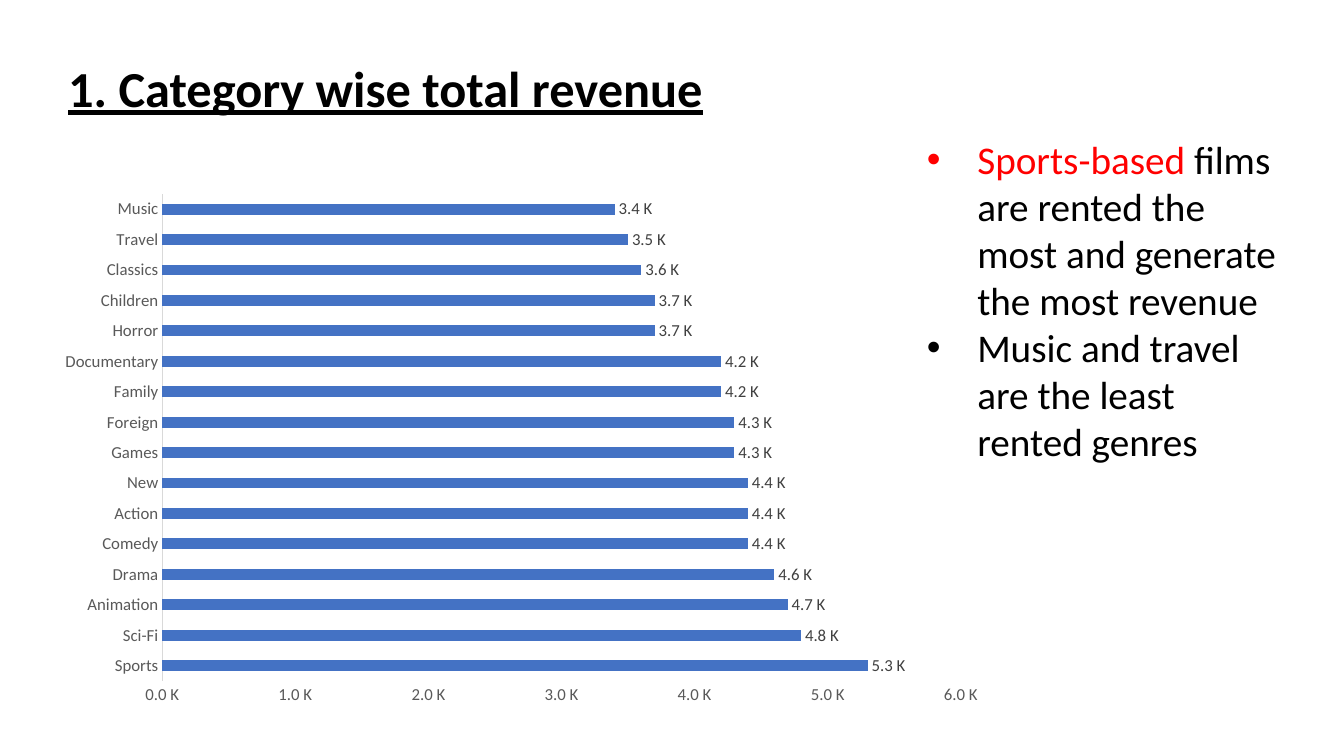
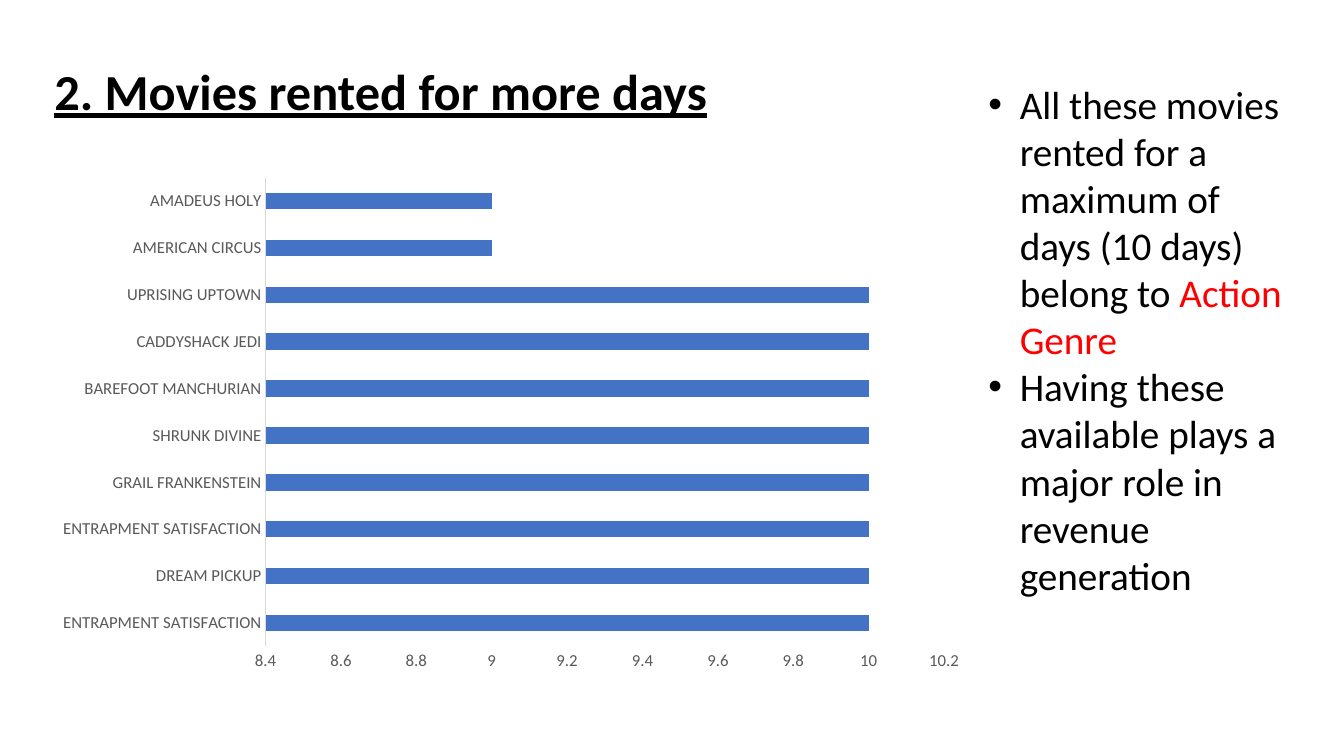
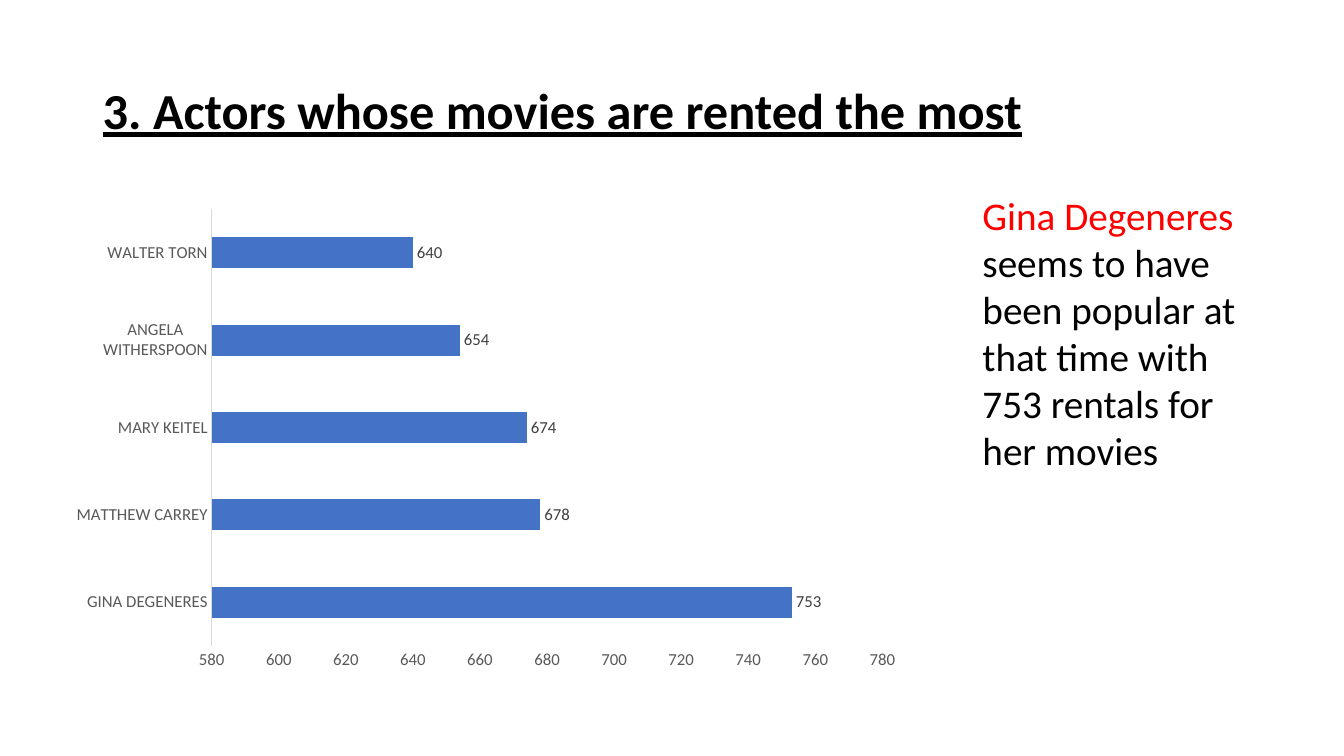
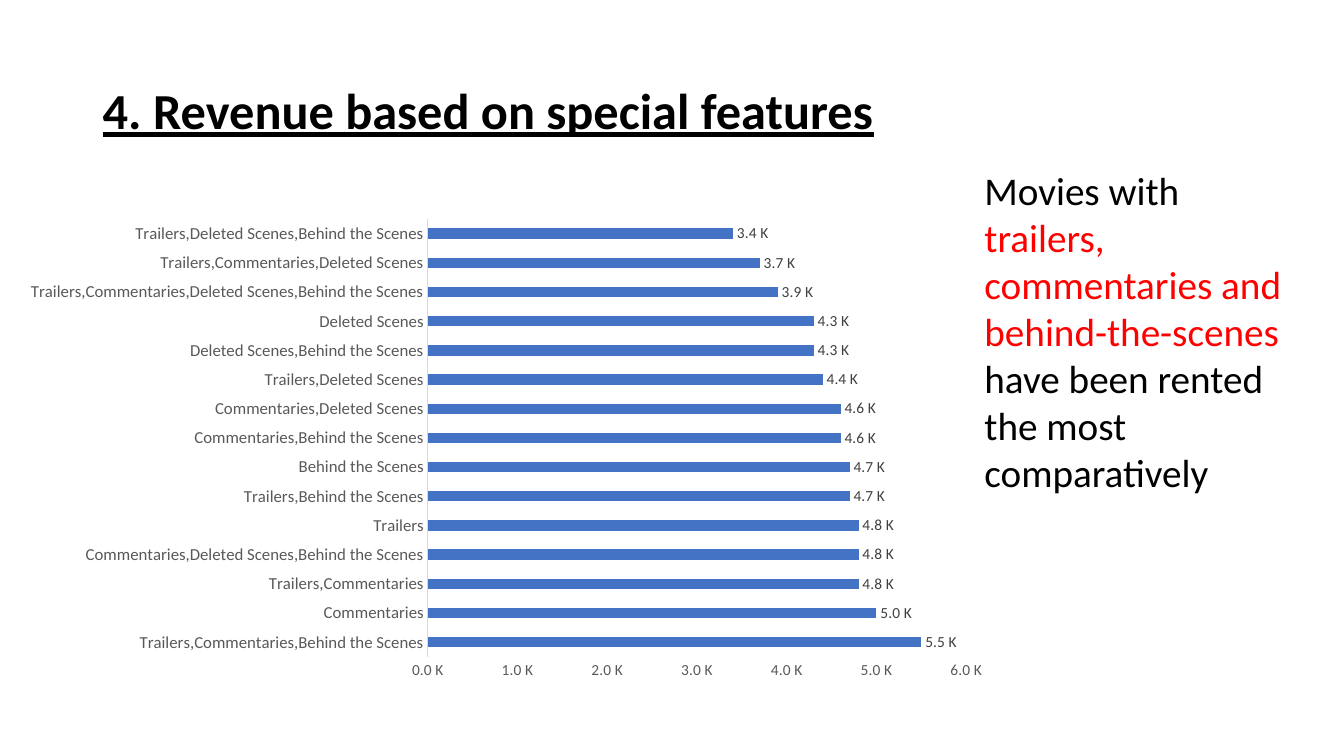
from lxml.etree import SubElement
from pptx import Presentation
from pptx.chart.data import CategoryChartData
from pptx.dml.color import RGBColor
from pptx.enum.chart import XL_CHART_TYPE, XL_LABEL_POSITION, XL_TICK_MARK
from pptx.enum.text import MSO_ANCHOR, MSO_AUTO_SIZE
from pptx.oxml.ns import qn
from pptx.util import Cm, Pt

BLACK = RGBColor(0x00, 0x00, 0x00)
RED = RGBColor(0xFF, 0x00, 0x00)
BLUE = RGBColor(0x44, 0x72, 0xC4)
AXIS_GREY = RGBColor(0x59, 0x59, 0x59)
LABEL_GREY = RGBColor(0x40, 0x40, 0x40)
LINE_GREY = RGBColor(0xD9, 0xD9, 0xD9)

FONT = "Calibri"
THOUSANDS = '#,##0.0,\\ "K"'
TITLE_FORMAT = {"size": Pt(36), "bold": True, "underline": True}
NOTE_FORMAT = {"size": Pt(28)}

# Boxes are left, top, width, height in centimetres.
# An axis is minimum, maximum, step; an indent of 0 means no bullets.
SLIDES = [
    {
        "title": "1. Category wise total revenue",
        "title_box": (1.47, 1.02, 16.97, 2.57),
        "chart_box": (1.17, 4.62, 23.95, 13.41),
        "bars": [
            ("Sports", 5300), ("Sci-Fi", 4800), ("Animation", 4700), ("Drama", 4600),
            ("Comedy", 4400), ("Action", 4400), ("New", 4400), ("Games", 4300),
            ("Foreign", 4300), ("Family", 4200), ("Documentary", 4200), ("Horror", 3700),
            ("Children", 3700), ("Classics", 3600), ("Travel", 3500), ("Music", 3400),
        ],
        "axis": (0, 6000, 1000),
        "number_format": THOUSANDS,
        "value_size": 12,
        "labels": True,
        "note_box": (23.11, 3.28, 9.58, 8.64),
        "indent": 1.27,
        "notes": [
            [("Sports-based", RED),
             (" films are rented the most and generate the most revenue", BLACK)],
            [("Music and travel are the least rented genres", BLACK)],
        ],
    },
    {
        "title": "2. Movies rented for more days",
        "title_box": (1.12, 0.53, 17.88, 3.68),
        "chart_box": (1.12, 4.22, 23.52, 12.93),
        "bars": [
            ("ENTRAPMENT SATISFACTION", 10), ("DREAM PICKUP", 10),
            ("ENTRAPMENT SATISFACTION", 10), ("GRAIL FRANKENSTEIN", 10),
            ("SHRUNK DIVINE", 10), ("BAREFOOT MANCHURIAN", 10),
            ("CADDYSHACK JEDI", 10), ("UPRISING UPTOWN", 10),
            ("AMERICAN CIRCUS", 9), ("AMADEUS HOLY", 9),
        ],
        "axis": (8.4, 10.2, 0.2),
        "number_format": "General",
        "value_size": 12,
        "labels": False,
        "note_box": (24.66, 1.9, 8.08, 14.2),
        "indent": 0.79,
        "notes": [
            [("All these movies rented for a maximum of days (10 days) belong to ", BLACK),
             ("Action Genre", RED)],
            [("Having these available plays a major role in revenue generation", BLACK)],
        ],
    },
    {
        "title": "3. Actors whose movies are rented the most",
        "title_box": (2.34, 1.02, 23.72, 3.68),
        "chart_box": (1.5, 5.03, 21.49, 12.09),
        "bars": [
            ("GINA DEGENERES", 753), ("MATTHEW CARREY", 678), ("MARY KEITEL", 674),
            ("ANGELA WITHERSPOON", 654), ("WALTER TORN", 640),
        ],
        "axis": (580, 780, 20),
        "number_format": "General",
        "value_size": 12,
        "labels": True,
        "note_box": (24.51, 4.7, 7.85, 8.2),
        "indent": 0,
        "notes": [
            [("Gina Degeneres ", RED),
             ("seems to have been popular at that time with 753 rentals for her movies", BLACK)],
        ],
    },
    {
        "title": "4. Revenue based on special features",
        "title_box": (2.34, 1.02, 29.21, 3.68),
        "chart_box": (0.28, 5.28, 24.97, 12.09),
        "bars": [
            ("Trailers,Commentaries,Behind the Scenes", 5500),
            ("Commentaries", 5000),
            ("Trailers,Commentaries", 4800),
            ("Commentaries,Deleted Scenes,Behind the Scenes", 4800),
            ("Trailers", 4800),
            ("Trailers,Behind the Scenes", 4700),
            ("Behind the Scenes", 4700),
            ("Commentaries,Behind the Scenes", 4600),
            ("Commentaries,Deleted Scenes", 4600),
            ("Trailers,Deleted Scenes", 4400),
            ("Deleted Scenes,Behind the Scenes", 4300),
            ("Deleted Scenes", 4300),
            ("Trailers,Commentaries,Deleted Scenes,Behind the Scenes", 3900),
            ("Trailers,Commentaries,Deleted Scenes", 3700),
            ("Trailers,Deleted Scenes,Behind the Scenes", 3400),
        ],
        "axis": (0, 6000, 1000),
        "number_format": THOUSANDS,
        "value_size": 11,
        "labels": True,
        "note_box": (24.56, 4.06, 8.56, 8.64),
        "indent": 0,
        "notes": [
            [("Movies with ", BLACK),
             ("trailers, commentaries and behind-the-scenes ", RED),
             ("have been rented the most comparatively", BLACK)],
        ],
    },
]


def style_font(font, color, **values):
    font.name = FONT
    font.color.rgb = color
    for name, value in values.items():
        setattr(font, name, value)


def add_text(page, box, paragraphs, values, indent=0):
    """Add a wrapping text box; each paragraph is a list of (text, color) spans."""
    frame = page.shapes.add_textbox(*map(Cm, box)).text_frame
    frame.word_wrap = True
    for index, spans in enumerate(paragraphs):
        para = frame.paragraphs[0] if index == 0 else frame.add_paragraph()
        for text, color in spans:
            span = para.add_run()
            span.text = text
            style_font(span.font, color, **values)
        if indent:
            properties = para._p.get_or_add_pPr()
            properties.set("marL", str(Cm(indent)))
            properties.set("indent", str(-Cm(indent)))
            SubElement(properties, qn("a:buFont"), typeface="Arial")
            SubElement(properties, qn("a:buChar"), char="•")
    return frame


deck = Presentation()
deck.slide_width, deck.slide_height = Cm(33.87), Cm(19.05)

for content in SLIDES:
    page = deck.slides.add_slide(deck.slide_layouts[6])

    title = add_text(page, content["title_box"], [[(content["title"], BLACK)]], TITLE_FORMAT)
    title.vertical_anchor = MSO_ANCHOR.MIDDLE
    title.paragraphs[0].line_spacing = 0.9

    data = CategoryChartData(number_format=content["number_format"])
    data.categories = [name for name, value in content["bars"]]
    data.add_series("Series 1", [value for name, value in content["bars"]])
    chart = page.shapes.add_chart(
        XL_CHART_TYPE.BAR_CLUSTERED, *map(Cm, content["chart_box"]), data
    ).chart
    chart.has_title = False
    chart.has_legend = False
    style_font(chart.font, BLACK, size=Pt(12))

    plot = chart.plots[0]
    plot.vary_by_categories = False
    plot.gap_width = 182
    fill = plot.series[0].format.fill
    fill.solid()
    fill.fore_color.rgb = BLUE

    category_axis, value_axis = chart.category_axis, chart.value_axis
    for axis, size in ((category_axis, 12), (value_axis, content["value_size"])):
        axis.has_major_gridlines = False
        axis.major_tick_mark = axis.minor_tick_mark = XL_TICK_MARK.NONE
        style_font(axis.tick_labels.font, AXIS_GREY, size=Pt(size))
    category_axis.format.line.color.rgb = LINE_GREY
    category_axis.format.line.width = Pt(0.75)
    value_axis.format.line.fill.background()
    value_axis.minimum_scale, value_axis.maximum_scale, value_axis.major_unit = content["axis"]
    value_axis.tick_labels.number_format = content["number_format"]
    value_axis.tick_labels.number_format_is_linked = False

    if content["labels"]:
        labels = plot.series[0].data_labels
        labels.show_value = True
        labels.position = XL_LABEL_POSITION.OUTSIDE_END
        labels.number_format = content["number_format"]
        labels.number_format_is_linked = False
        style_font(labels.font, LABEL_GREY, size=Pt(content["value_size"]))

    note = add_text(page, content["note_box"], content["notes"], NOTE_FORMAT, content["indent"])
    note.auto_size = MSO_AUTO_SIZE.SHAPE_TO_FIT_TEXT

deck.save("out.pptx")
